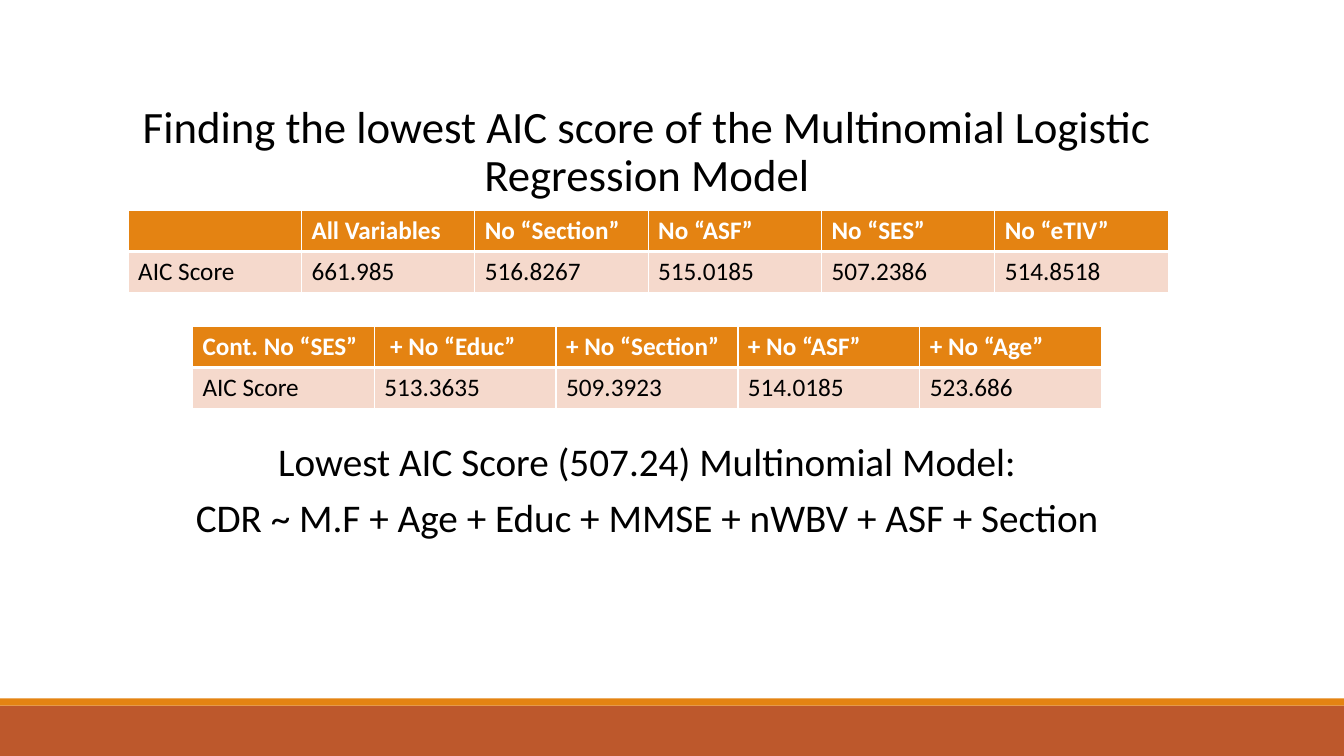
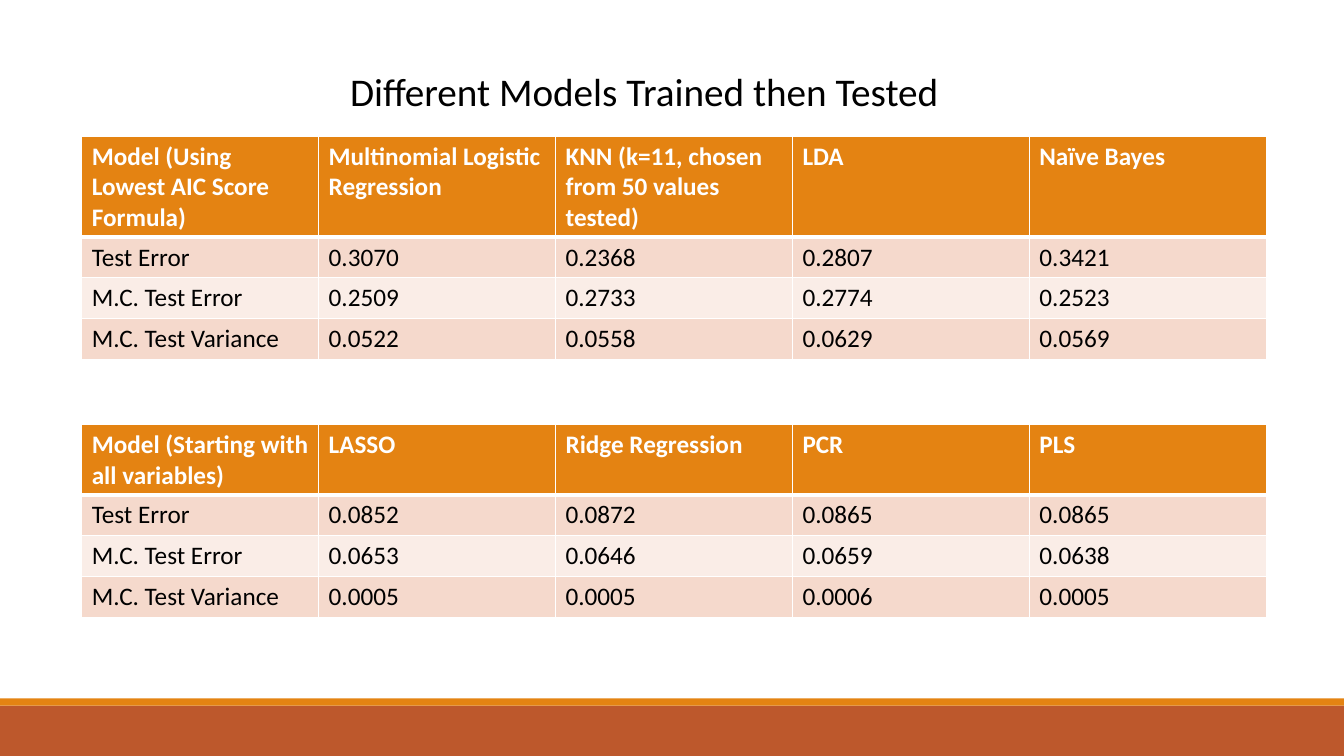
from dataclasses import dataclass

from lxml import etree
from pptx import Presentation, slide as sl, table as tb
from pptx import util as u
from pptx.dml import color as co
from pptx.enum import shapes, text
from pptx.oxml import ns


@dataclass(frozen=True)
class Theme:
    font: str = "Calibri"
    ink: str = "000000"
    paper: str = "FFFFFF"
    accent: str = "E48312"
    footer: str = "BD582C"
    bands: tuple[str, str] = ("F5D9CC", "FAEDE7")
    title: int = 32
    heading: int = 28
    cell: int = 18
    rule: int = 1
    header_rule: int = 3


@dataclass(frozen=True)
class Band:
    top: float
    height: float
    color: str


@dataclass(frozen=True)
class Line:
    text: str
    size: int
    before: int = 10


@dataclass(frozen=True)
class Grid:
    left: float
    top: float
    width: float
    header_height: float
    rows: list[list[str]]


@dataclass(frozen=True)
class Page:
    left: float
    top: float
    lines: list[Line]
    grids: list[Grid]


THEME = Theme()
WIDTH, HEIGHT = 33.87, 19.05
BODY_WIDTH, BODY_HEIGHT = 29.21, 16.54
ROW_HEIGHT = 1.03
BANDS = [Band(17.78, 1.27, THEME.footer), Band(17.6, 0.18, THEME.accent)]
MEASURES = ["Test Error", "M.C. Test Error", "M.C. Test Variance"]

PAGES = [
    Page(1.7, 2.51, [
        Line("Finding the lowest AIC score of the Multinomial Logistic Regression Model", THEME.title),
        Line("Lowest AIC Score (507.24) Multinomial Model:", THEME.heading, before=172),
        Line("CDR ~ M.F + Age + Educ + MMSE + nWBV + ASF + Section", THEME.heading),
    ], [
        Grid(3.23, 5.31, 26.21, ROW_HEIGHT, [
            ["", "All Variables", "No “Section”", "No “ASF”", "No “SES”", "No “eTIV”"],
            ["AIC Score", "661.985", "516.8267", "515.0185", "507.2386", "514.8518"],
        ]),
        Grid(4.85, 8.23, 22.91, ROW_HEIGHT, [
            ["Cont. No “SES”", " + No “Educ”", "+ No “Section”", "+ No “ASF”", "+ No “Age”"],
            ["AIC Score", "513.3635", "509.3923", "514.0185", "523.686"],
        ]),
    ]),
    Page(1.63, 1.7, [Line("Different Models Trained then Tested", THEME.heading)], [
        Grid(2.06, 3.43, 29.85, 2.54, [
            ["Model (Using Lowest AIC Score Formula)", "Multinomial Logistic Regression",
             "KNN (k=11, chosen from 50 values tested)", "LDA", "Naïve Bayes"],
            [MEASURES[0], "0.3070", "0.2368", "0.2807", "0.3421"],
            [MEASURES[1], "0.2509", "0.2733", "0.2774", "0.2523"],
            [MEASURES[2], "0.0522", "0.0558", "0.0629", "0.0569"],
        ]),
        Grid(2.06, 10.69, 29.85, 1.78, [
            ["Model (Starting with all variables)", "LASSO", "Ridge Regression", "PCR", "PLS"],
            [MEASURES[0], "0.0852", "0.0872", "0.0865", "0.0865"],
            [MEASURES[1], "0.0653", "0.0646", "0.0659", "0.0638"],
            [MEASURES[2], "0.0005", "0.0005", "0.0006", "0.0005"],
        ]),
    ]),
]


def rgb(value: str) -> co.RGBColor:
    return co.RGBColor.from_string(value)


def add_text(p, value: str, *, size: int, color: str = THEME.ink, bold: bool = False) -> None:
    r = p.add_run()
    r.text = value
    r.font.name = THEME.font
    r.font.size = u.Pt(size)
    r.font.bold = bold
    r.font.color.rgb = rgb(color)


def add_band(s: sl.Slide, band: Band) -> None:
    sp = s.shapes.add_shape(shapes.MSO_SHAPE.RECTANGLE, 0, u.Cm(band.top), u.Cm(WIDTH), u.Cm(band.height))
    sp.shadow.inherit = False
    sp.fill.solid()
    sp.fill.fore_color.rgb = rgb(band.color)
    sp.line.fill.background()


def add_body(s: sl.Slide, page: Page) -> None:
    sp = s.shapes.add_textbox(u.Cm(page.left), u.Cm(page.top), u.Cm(BODY_WIDTH), u.Cm(BODY_HEIGHT))
    tf = sp.text_frame
    tf.word_wrap = True
    for i, line in enumerate(page.lines):
        p = tf.add_paragraph() if i else tf.paragraphs[0]
        p.alignment = text.PP_ALIGN.CENTER
        p.line_spacing = 0.9
        p.space_before = u.Pt(line.before)
        add_text(p, line.text, size=line.size)


def set_borders(cell: tb._Cell, top: int, bottom: int) -> None:
    tc_pr = cell._tc.get_or_add_tcPr()
    widths = {"lnL": THEME.rule, "lnR": THEME.rule, "lnT": top, "lnB": bottom}
    for side, width in widths.items():
        ln = etree.SubElement(tc_pr, ns.qn(f"a:{side}"), w=str(u.Pt(width)))
        fill = etree.SubElement(ln, ns.qn("a:solidFill"))
        etree.SubElement(fill, ns.qn("a:srgbClr"), val=THEME.paper)


def format_cell(cell: tb._Cell, value: str, row: int) -> None:
    header = row == 0
    set_borders(
        cell,
        top=THEME.header_rule if row == 1 else THEME.rule,
        bottom=THEME.header_rule if header else THEME.rule,
    )
    cell.fill.solid()
    cell.fill.fore_color.rgb = rgb(THEME.accent if header else THEME.bands[(row - 1) % 2])
    if value:
        add_text(
            cell.text_frame.paragraphs[0], value,
            size=THEME.cell, color=THEME.paper if header else THEME.ink, bold=header,
        )


def add_grid(s: sl.Slide, grid: Grid) -> None:
    n_rows, n_cols = len(grid.rows), len(grid.rows[0])
    height = grid.header_height + ROW_HEIGHT * (n_rows - 1)
    table = s.shapes.add_table(
        n_rows, n_cols, u.Cm(grid.left), u.Cm(grid.top), u.Cm(grid.width), u.Cm(height)
    ).table
    for col in table.columns:
        col.width = u.Cm(grid.width / n_cols)
    for i, values in enumerate(grid.rows):
        table.rows[i].height = u.Cm(ROW_HEIGHT if i else grid.header_height)
        for j, value in enumerate(values):
            format_cell(table.cell(i, j), value, i)


def main() -> None:
    prs = Presentation()
    prs.slide_width, prs.slide_height = u.Cm(WIDTH), u.Cm(HEIGHT)
    for page in PAGES:
        s = prs.slides.add_slide(prs.slide_layouts[6])
        for band in BANDS:
            add_band(s, band)
        add_body(s, page)
        for grid in page.grids:
            add_grid(s, grid)
    prs.save("out.pptx")


if __name__ == "__main__":
    main()
